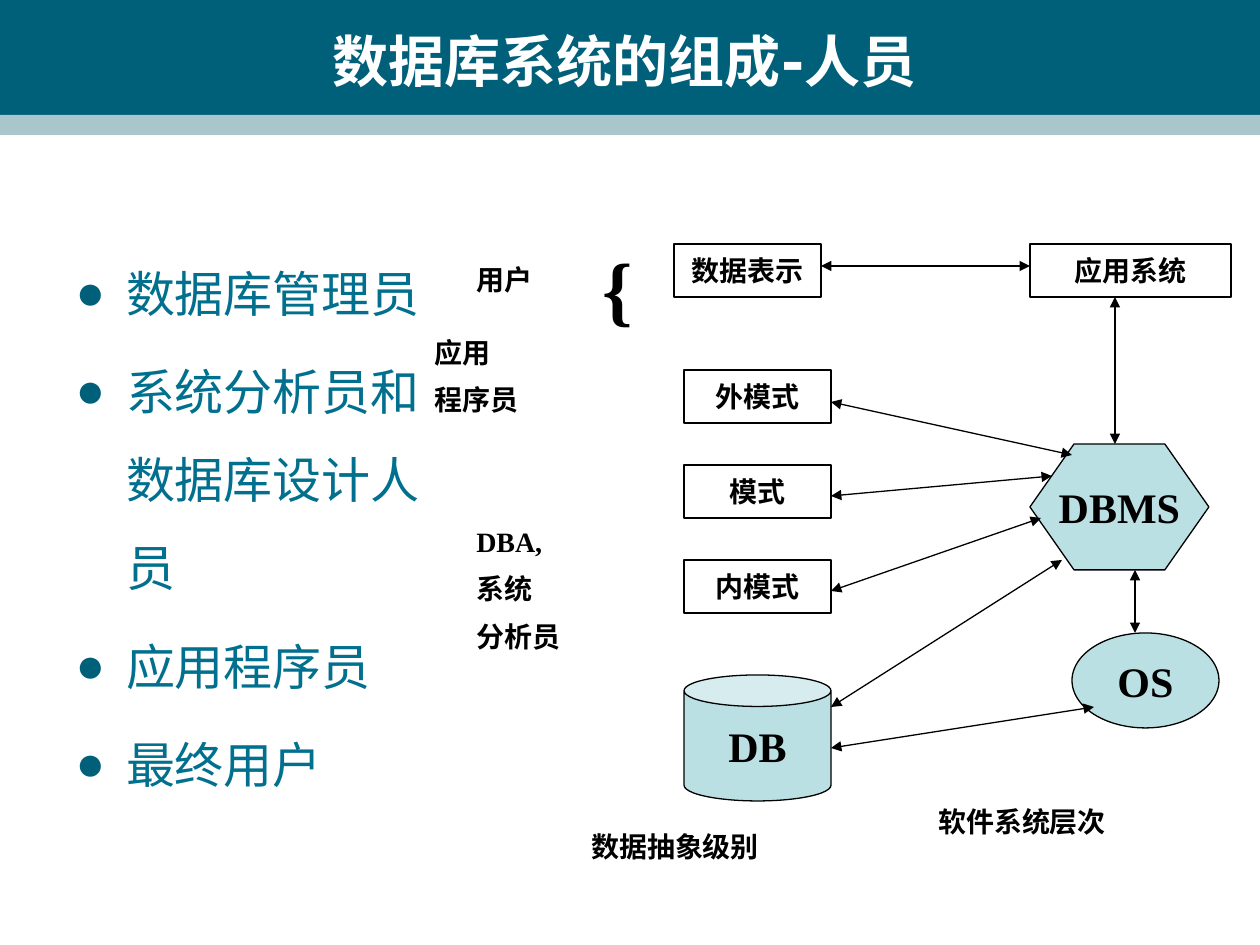
from dataclasses import dataclass

from lxml import etree
from pptx import Presentation
from pptx import util as u
from pptx.dml.color import RGBColor
from pptx.enum import shapes, text
from pptx.oxml import ns

PX_PER_INCH = 126
KIND = shapes.MSO_SHAPE


@dataclass(frozen=True)
class Theme:
    band: str = "00607A"
    strip: str = "A9C6CC"
    list_ink: str = "00708E"
    node: str = "BBE0E3"
    ink: str = "000000"
    white: str = "FFFFFF"
    title_font: str = "DejaVu Sans"
    list_font: str = "Arial"
    diagram_font: str = "Times New Roman"
    title_size: int = 32
    list_size: int = 28
    label_size: int = 16
    node_size: int = 24
    brace_size: int = 44
    line_width: float = 0.75


THEME = Theme()


def px(length):
    return u.Emu(round(length * 914400 / PX_PER_INCH))


def child(parent, tag, **attributes):
    return etree.SubElement(parent, ns.qn(tag), **attributes)


def write(frame, content, *, size=THEME.label_size, font=THEME.diagram_font,
          color=THEME.ink, bold=True, align=text.PP_ALIGN.LEFT,
          anchor=text.MSO_ANCHOR.TOP, wrap=True, gap=0.5, leading=None,
          bullet=None):
    """Fill a frame, one paragraph per line; gap is a share of the type size."""
    frame.word_wrap = wrap
    frame.auto_size = text.MSO_AUTO_SIZE.NONE
    frame.vertical_anchor = anchor
    for index, line in enumerate(content.split("\n")):
        paragraph = frame.add_paragraph() if index else frame.paragraphs[0]
        paragraph.alignment = align
        paragraph.space_before = u.Pt(size * gap if index else 0)
        if leading:
            paragraph.line_spacing = leading
        if bullet:
            properties = paragraph._p.get_or_add_pPr()
            indent = u.Inches(0.4)
            properties.set("marL", str(indent))
            properties.set("indent", str(-indent))
            child(child(properties, "a:buClr"), "a:srgbClr", val=THEME.band)
            child(properties, "a:buFont", typeface=font)
            child(properties, "a:buChar", char=bullet)
        run = paragraph.add_run()
        run.text = line
        run.font.size = u.Pt(size)
        run.font.name = font
        run.font.bold = bold
        run.font.color.rgb = RGBColor.from_string(color)


class SlideBuilder:
    def __init__(self, slide, theme):
        self.slide = slide
        self.theme = theme

    def placeholder(self, holder, box, content, **style):
        holder.left, holder.top, holder.width, holder.height = map(px, box)
        write(holder.text_frame, content, anchor=text.MSO_ANCHOR.MIDDLE, **style)

    def shape(self, kind, box, fill=None, outlined=True):
        shape = self.slide.shapes.add_shape(kind, *map(px, box))
        shape.shadow.inherit = False
        if fill:
            shape.fill.solid()
            shape.fill.fore_color.rgb = RGBColor.from_string(fill)
        else:
            shape.fill.background()
        if outlined:
            self.stroke(shape.line)
        else:
            shape.line.fill.background()
        return shape

    def stroke(self, line):
        line.color.rgb = RGBColor.from_string(self.theme.ink)
        line.width = u.Pt(self.theme.line_width)

    def node(self, kind, box, content, fill=None, **style):
        node = self.shape(kind, box, fill)
        write(node.text_frame, content, align=text.PP_ALIGN.CENTER,
              anchor=text.MSO_ANCHOR.MIDDLE, wrap=False, **style)
        return node

    def label(self, box, content, **style):
        write(self.slide.shapes.add_textbox(*map(px, box)).text_frame,
              content, **style)

    def double_arrow(self, start, end):
        arrow = self.slide.shapes.add_connector(
            shapes.MSO_CONNECTOR.STRAIGHT, *map(px, start + end))
        self.stroke(arrow.line)
        outline = arrow.line._get_or_add_ln()
        child(outline, "a:headEnd", type="triangle")
        child(outline, "a:tailEnd", type="triangle")
        child(arrow._element.spPr, "a:effectLst")


def main():
    deck = Presentation()
    deck.slide_width, deck.slide_height = px(1260), px(945)
    slide = deck.slides.add_slide(deck.slide_layouts[1])
    build = SlideBuilder(slide, THEME)

    # Header bands, placed behind the title
    bands = [build.shape(KIND.RECTANGLE, box, fill, outlined=False)
             for box, fill in (((0, 0, 1260, 115), THEME.band),
                               ((0, 115, 1260, 20), THEME.strip))]
    tree = slide.shapes._spTree
    for position, band in enumerate(bands, start=2):
        tree.insert(position, band._element)

    # Title and list of roles
    build.placeholder(slide.shapes.title, (42, 21, 1165, 78),
                      "数据库系统的组成-人员", size=THEME.title_size,
                      font=THEME.title_font, color=THEME.white,
                      align=text.PP_ALIGN.CENTER)
    build.placeholder(slide.placeholders[1], (63, 145, 387, 737),
                      "数据库管理员\n系统分析员和数据库设计人员\n应用程序员\n最终用户",
                      size=THEME.list_size, font=THEME.list_font,
                      color=THEME.list_ink, bold=False, gap=0.2, leading=1.5,
                      bullet="●")

    # People beside each level
    build.label((590, 234, 54, 105), "{", size=THEME.brace_size)
    build.label((464, 256, 136, 47), "用户")
    build.label((422, 329, 116, 97), "应用\n程序员")
    build.label((464, 518, 116, 147), "DBA,\n系统\n分析员")

    # Data abstraction levels
    build.node(KIND.RECTANGLE, (674, 244, 147, 53), "数据表示")
    for row, schema in enumerate(("外模式", "模式", "内模式")):
        build.node(KIND.RECTANGLE, (684, 370 + 95 * row, 147, 53), schema)
    build.node(KIND.CAN, (684, 675, 147, 126), "DB", THEME.node,
               size=THEME.node_size)

    # Software layers
    build.node(KIND.RECTANGLE, (1030, 244, 201, 53), "应用系统")
    dbms = build.node(KIND.HEXAGON, (1030, 444, 179, 126), "DBMS", THEME.node,
                      size=THEME.node_size)
    dbms.adjustments[0] = 0.35
    build.node(KIND.OVAL, (1072, 633, 147, 95), "OS", THEME.node,
               size=THEME.node_size)

    # Links between levels and layers
    for start, end in (((831, 748), (1094, 707)),
                       ((831, 591), (1041, 518)),
                       ((831, 707), (1062, 560)),
                       ((831, 496), (1052, 476)),
                       ((831, 402), (1072, 455)),
                       ((1115, 297), (1115, 444)),
                       ((1135, 570), (1135, 633)),
                       ((821, 266), (1030, 266))):
        build.double_arrow(start, end)

    # Captions
    build.label((579, 823, 195, 47), "数据抽象级别", wrap=False)
    build.label((926, 798, 195, 47), "软件系统层次", wrap=False)

    deck.save("out.pptx")


if __name__ == "__main__":
    main()
